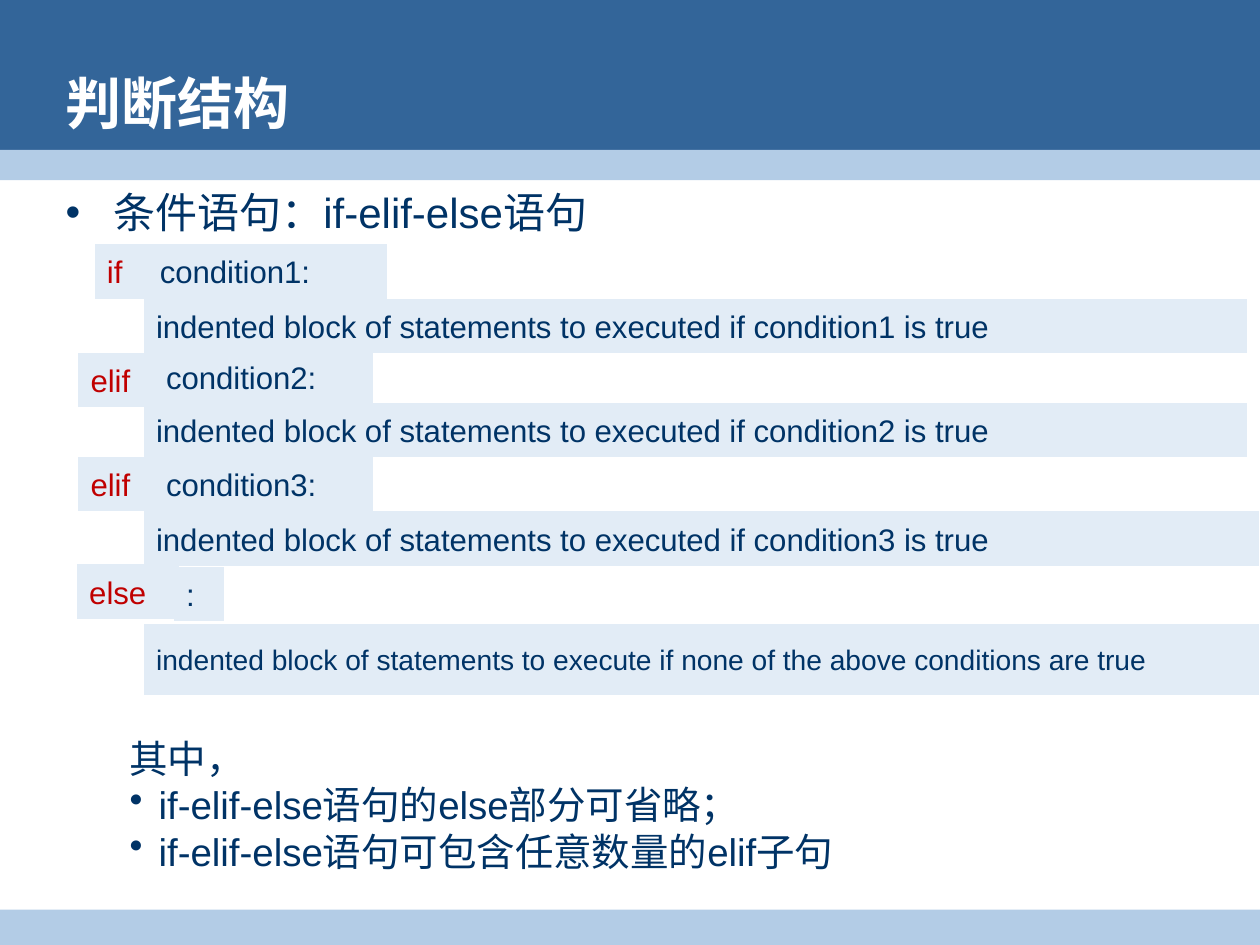
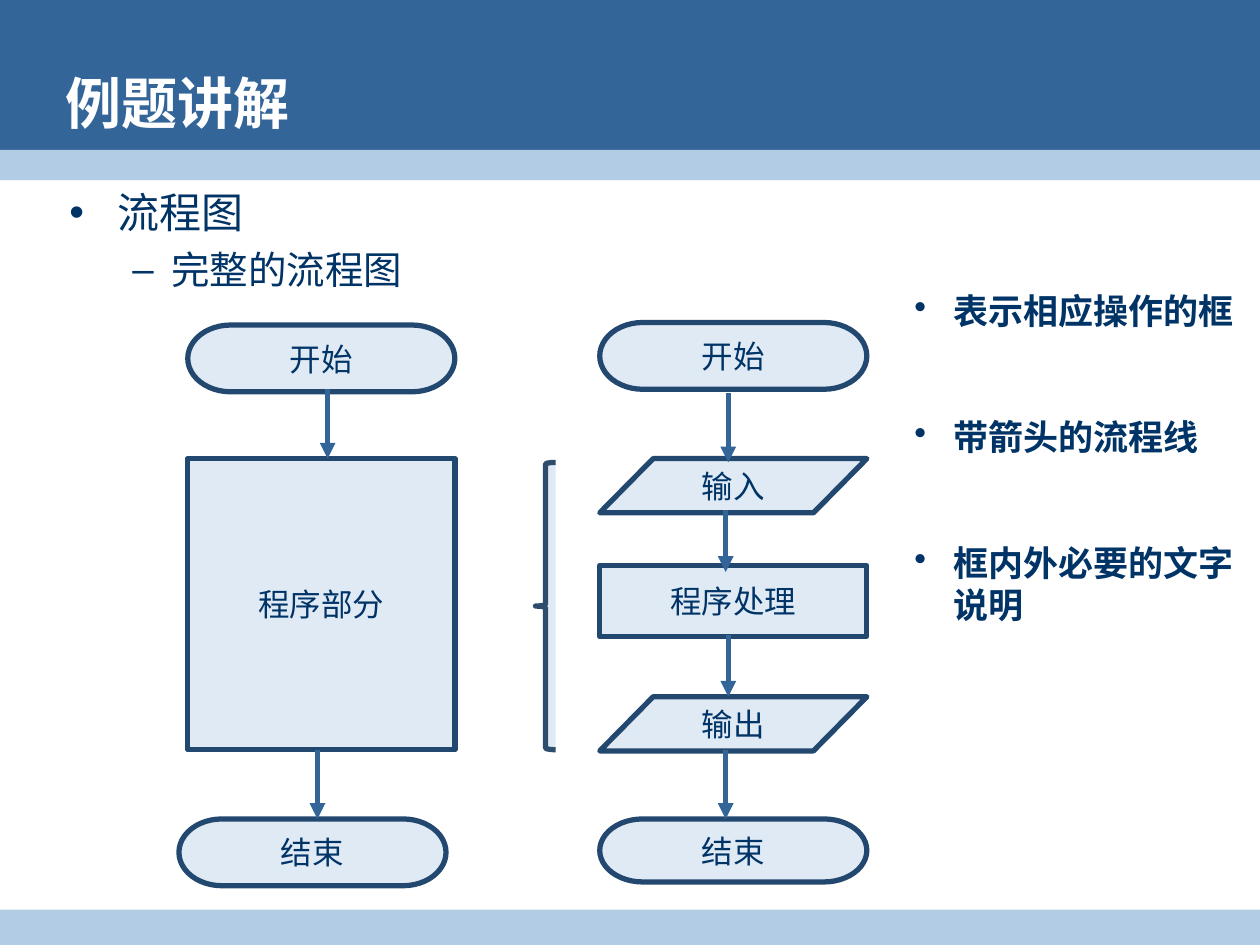
from dataclasses import dataclass

from lxml import etree
from pptx import Presentation
from pptx import util as u
from pptx.dml.color import RGBColor
from pptx.enum import shapes, text
from pptx.oxml.ns import qn


@dataclass(frozen=True)
class Theme:
    latin: str = "Arial"
    east_asian: str = "Noto Sans CJK SC"
    header: str = "336599"
    band: str = "B3CCE6"
    ink: str = "003366"
    keyword: str = "C00000"
    white: str = "FFFFFF"
    code_fill: str = "E2ECF6"
    flow_fill: str = "E0EAF5"
    flow_line: str = "23486F"
    brace_line: str = "2E4C6B"
    title_size: float = 32
    topic_size: float = 24
    detail_size: float = 22
    side_size: float = 20
    flow_size: float = 18
    code_size: float = 17.8
    long_code_size: float = 16.1
    line_height: float = 1.2
    stroke: float = 3


THEME = Theme()
COLUMNS, ROWS = 100, 75
WIDTH, HEIGHT = u.Inches(10), u.Inches(7.5)
KIND = shapes.MSO_SHAPE


def across(columns):
    return round(WIDTH * columns / COLUMNS)


def down(rows):
    return round(HEIGHT * rows / ROWS)


def place(left, top, width, height):
    return across(left), down(top), across(width), down(height)


def color(value):
    return RGBColor.from_string(value)


def write(paragraph, words, size, ink=THEME.ink, bold=False, bullet=None,
          margin=0, hanging=0, before=0, align=text.PP_ALIGN.LEFT):
    """Fill one paragraph; margin and hanging are in grid columns."""
    formats = {"alignment": align, "space_before": u.Pt(before),
               "space_after": u.Pt(0),
               "line_spacing": u.Pt(round(size * THEME.line_height, 1))}
    for name, value in formats.items():
        setattr(paragraph, name, value)
    properties = paragraph._p.get_or_add_pPr()
    properties.set("marL", str(across(margin)))
    properties.set("indent", str(-across(hanging)))
    if bullet:
        etree.SubElement(properties, qn("a:buChar")).set("char", bullet)
    else:
        etree.SubElement(properties, qn("a:buNone"))
    run = paragraph.add_run()
    run.text = words
    run.font.color.rgb = color(ink)
    for name, value in {"size": u.Pt(size), "bold": bold,
                        "name": THEME.latin}.items():
        setattr(run.font, name, value)
    east_asian = etree.SubElement(run._r.get_or_add_rPr(), qn("a:ea"))
    east_asian.set("typeface", THEME.east_asian)


def write_list(frame, items, anchor=text.MSO_ANCHOR.TOP):
    """Each item is a dict of arguments for write()."""
    formats = {"word_wrap": True, "auto_size": text.MSO_AUTO_SIZE.NONE,
               "vertical_anchor": anchor}
    for name, value in formats.items():
        setattr(frame, name, value)
    for index, item in enumerate(items):
        paragraph = frame.add_paragraph() if index else frame.paragraphs[0]
        write(paragraph, **item)


def add_block(slide, kind, box, fill=None, line=None, **label):
    shape = slide.shapes.add_shape(kind, *place(*box))
    shape.shadow.inherit = False
    if fill:
        shape.fill.solid()
        shape.fill.fore_color.rgb = color(fill)
    else:
        shape.fill.background()
    if line:
        shape.line.color.rgb = color(line)
        shape.line.width = u.Pt(THEME.stroke)
    else:
        shape.line.fill.background()
    if label:
        write_list(shape.text_frame, [label], text.MSO_ANCHOR.MIDDLE)
    return shape


def add_code(slide, box, words, ink=THEME.ink, size=THEME.code_size):
    add_block(slide, KIND.FLOWCHART_PROCESS, box, THEME.code_fill,
              words=words, ink=ink, size=size)


def add_step(slide, kind, box, words):
    add_block(slide, kind, box, THEME.flow_fill, THEME.flow_line, words=words,
              size=THEME.flow_size, align=text.PP_ALIGN.CENTER)


def add_arrow(slide, column, top, bottom):
    connector = slide.shapes.add_connector(
        shapes.MSO_CONNECTOR.STRAIGHT, across(column), down(top),
        across(column), down(bottom))
    connector.line.color.rgb = color(THEME.header)
    connector.line.width = u.Pt(THEME.stroke)
    etree.SubElement(connector.line._get_or_add_ln(),
                     qn("a:tailEnd")).set("type", "triangle")
    etree.SubElement(connector._element.spPr, qn("a:effectLst"))


def add_bands(slide):
    """Draw the bands and move them into the layout, behind its placeholders."""
    bands = [((0, 0, 100, 13.1), THEME.header),
             ((0, 11.9, 100, 2.4), THEME.band),
             ((0, 72.2, 100, 2.8), THEME.band)]
    tree = slide.slide_layout.shapes._spTree
    for position, (box, fill) in enumerate(bands, start=2):
        tree.insert(position, add_block(slide, KIND.RECTANGLE, box, fill)._element)


def start_slide(presentation, title, body_box, items):
    slide = presentation.slides.add_slide(presentation.slide_layouts[1])
    body = slide.placeholders[1]
    for shape, box in ((slide.shapes.title, (4.2, 5.2, 90.6, 5.8)),
                       (body, body_box)):
        shape.left, shape.top, shape.width, shape.height = place(*box)
    heading = dict(words=title, size=THEME.title_size, ink=THEME.white, bold=True)
    write_list(slide.shapes.title.text_frame, [heading], text.MSO_ANCHOR.MIDDLE)
    write_list(body.text_frame, items)
    return slide


def topic(words):
    return dict(words=words, size=THEME.topic_size, bullet="•",
                margin=3.8, hanging=3.8)


def build_conditions(presentation):
    slide = start_slide(presentation, "判断结构", (4.2, 14.3, 94.8, 58.3),
                        [topic("条件语句：if-elif-else语句")])
    add_bands(slide)
    row = 4.3
    clauses = [
        ("if", (7.5, 19.4, 4.5), "condition1:", (11.7, 19.4, 19), 23.7, 87.6),
        ("elif", (6.2, 28, 8.1), "condition2:", (12.2, 27.8, 17.4), 32, 87.6),
        ("elif", (6.2, 36.3, 8.1), "condition3:", (12.2, 36.3, 17.4), 40.6, 88.5),
    ]
    for keyword, keyword_at, condition, condition_at, top, width in clauses:
        add_code(slide, (*keyword_at, row), keyword, THEME.keyword)
        add_code(slide, (*condition_at, row), condition)
        add_code(slide, (11.4, top, width, row),
                 f"indented block of statements to executed if {condition[:-1]} is true")
    add_code(slide, (6.1, 44.8, 8.1, row), "else", THEME.keyword)
    add_code(slide, (13.8, 45, 4, row), ":")
    add_code(slide, (11.4, 49.5, 88.5, 5.7),
             "indented block of statements to execute if none of the above "
             "conditions are true", size=THEME.long_code_size)

    notes = add_block(slide, KIND.FLOWCHART_PROCESS, (9.3, 56.6, 87.8, 14.5))
    rules = ["if-elif-else语句的else部分可省略；",
             "if-elif-else语句可包含任意数量的elif子句"]
    write_list(notes.text_frame,
               [dict(words="其中，", size=THEME.detail_size)]
               + [dict(words=rule, size=THEME.detail_size, bullet="•",
                       margin=2.3, hanging=2.3) for rule in rules],
               text.MSO_ANCHOR.MIDDLE)


def build_flowchart(presentation):
    subtopic = dict(words="完整的流程图", size=THEME.detail_size, bullet="–",
                    margin=8.1, hanging=3.1, before=5.5)
    slide = start_slide(presentation, "例题讲解", (4.5, 14.3, 92.5, 58.3),
                        [topic("流程图"), subtopic])
    left, right, width = 14.9, 47.6, 21.2
    end, process, data = (KIND.FLOWCHART_TERMINATOR, KIND.FLOWCHART_PROCESS,
                          KIND.FLOWCHART_DATA)
    steps = [
        (end, left, 25.8, 5.3, "开始"),
        (process, left, 36.4, 23.1, "程序部分"),
        (end, 14.2, 65, 5.3, "结束"),
        (end, right, 25.6, 5.3, "开始"),
        (data, right, 36.4, 4.3, "输入"),
        (process, right, 44.9, 5.6, "程序处理"),
        (data, right, 55.3, 4.3, "输出"),
        (end, right, 65, 5, "结束"),
    ]
    for kind, column, top, height, words in steps:
        add_step(slide, kind, (column, top, width, height), words)
    add_block(slide, KIND.LEFT_BRACE, (42.5, 36.7, 1.6, 22.8),
              THEME.flow_fill, THEME.brace_line)
    arrows = [(26, 30.9, 36.4), (25.2, 59.5, 65), (57.8, 31.2, 36.7),
              (57.6, 40.5, 45.4), (57.8, 50.4, 55.3), (57.6, 59.5, 65)]
    for column, top, bottom in arrows:
        add_arrow(slide, column, top, bottom)

    side = slide.shapes.add_textbox(*place(71.6, 22.5, 28.4, 31))
    elements = ["表示相应操作的框", "带箭头的流程线", "框内外必要的文字说明"]
    gap = 2 * THEME.side_size * THEME.line_height
    write_list(side.text_frame,
               [dict(words=words, size=THEME.side_size, bold=True, bullet="•",
                     margin=3.1, hanging=3.1, before=gap if index else 0)
                for index, words in enumerate(elements)])


def main():
    presentation = Presentation()
    presentation.slide_width, presentation.slide_height = WIDTH, HEIGHT
    build_conditions(presentation)
    build_flowchart(presentation)
    presentation.save("out.pptx")


if __name__ == "__main__":
    main()
